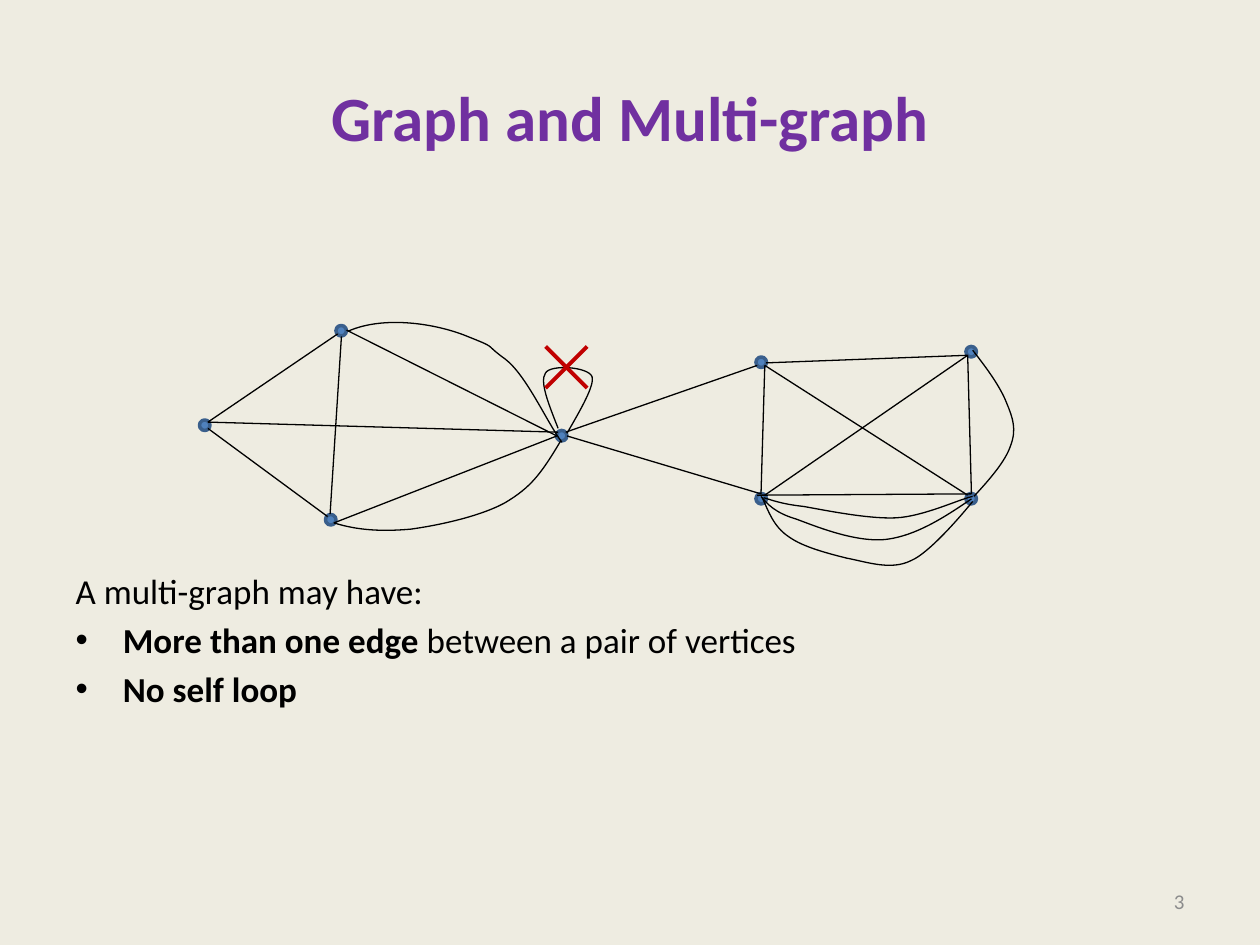
from dataclasses import dataclass
from typing import NamedTuple

import pptx
import pptx.dml.color
import pptx.enum.shapes
import pptx.enum.text
import pptx.util
from pptx.oxml import parse_xml
from pptx.oxml.ns import nsdecls, qn
from pptx.util import Inches

ALIGN = pptx.enum.text.PP_ALIGN
ANCHOR = pptx.enum.text.MSO_ANCHOR
GRID = Inches(1) // 12


@dataclass(frozen=True)
class Theme:
    font: str = "Calibri"
    background: str = "EEECE1"
    title: str = "7030A0"
    text: str = "000000"
    page_number: str = "8C8C8C"
    vertex: str = "4F81BD"
    vertex_line: str = "3A5F8C"
    edge: str = "000000"
    cross: str = "C00000"
    title_size: float = 36
    body_size: float = 20
    page_number_size: float = 12
    vertex_width: float = 2
    edge_width: float = 0.75
    cross_width: float = 2.25


class Point(NamedTuple):
    x: float
    y: float


class Edge(NamedTuple):
    start: Point
    end: Point


class Curve(NamedTuple):
    """A start point, then two handles and an end point for each Bézier piece."""
    start: Point
    pieces: list[tuple[float, float, float, float, float, float]]


THEME = Theme()

# Column and row of each vertex, in grid steps of a twelfth of an inch
VERTICES = [(32, 31), (31, 49), (53, 41), (72, 34), (19, 40), (72, 47), (92, 47), (92, 33)]

LEFT = Point(1.65, 3.35)
CENTRE = Point(4.42, 3.46)
TOP_INNER, TOP_OUTER = Point(6.07, 2.9), Point(7.68, 2.82)
BOTTOM_INNER, BOTTOM_OUTER = Point(6.04, 3.92), Point(7.71, 3.92)

EDGES = [
    Edge(LEFT, Point(2.68, 2.65)),
    Edge(Point(1.65, 3.4), Point(2.6, 4.1)),
    Edge(Point(2.65, 4.15), CENTRE),
    Edge(CENTRE, Point(2.75, 2.62)),
    Edge(Point(2.71, 2.67), Point(2.62, 4.08)),
    Edge(LEFT, Point(4.43, 3.43)),
    Edge(Point(6.08, 2.88), TOP_OUTER),
    Edge(Point(6.01, 3.93), BOTTOM_OUTER),
    Edge(TOP_INNER, BOTTOM_INNER),
    Edge(TOP_OUTER, BOTTOM_OUTER),
    Edge(TOP_INNER, Point(7.68, 3.93)),
    Edge(TOP_OUTER, Point(6.07, 3.93)),
    Edge(Point(6.01, 2.9), Point(4.49, 3.43)),
    Edge(BOTTOM_INNER, Point(4.5, 3.46)),
]

CURVES = [
    Curve(Point(2.65, 4.15), [
        (2.84, 4.21, 3.03, 4.22, 3.26, 4.2),
        (3.48, 4.17, 3.81, 4.1, 4.01, 3.99),
        (4.21, 3.87, 4.29, 3.77, 4.45, 3.5)]),
    Curve(Point(4.46, 3.51), [
        (4.34, 3.35, 4.18, 2.98, 4.01, 2.85),
        (3.83, 2.72, 3.96, 2.77, 3.71, 2.67),
        (3.47, 2.57, 3.05, 2.5, 2.76, 2.63)]),
    Curve(Point(4.43, 3.4), [
        (4.36, 3.22, 4.28, 3.03, 4.33, 2.96),
        (4.37, 2.89, 4.67, 2.91, 4.7, 2.99),
        (4.72, 3.06, 4.61, 3.25, 4.5, 3.44)]),
    Curve(Point(6.06, 3.95), [
        (6.13, 3.97, 6.2, 4, 6.38, 4.02),
        (6.55, 4.05, 6.89, 4.12, 7.11, 4.11),
        (7.33, 4.1, 7.62, 3.96, 7.72, 3.94)]),
    Curve(Point(6.04, 3.94), [
        (6.09, 4, 6.15, 4.07, 6.32, 4.12),
        (6.48, 4.18, 6.8, 4.31, 7.04, 4.28),
        (7.27, 4.25, 7.49, 4.11, 7.71, 3.96)]),
    Curve(Point(6.05, 3.95), [
        (6.1, 4.06, 6.14, 4.18, 6.26, 4.26),
        (6.37, 4.34, 6.56, 4.39, 6.72, 4.43),
        (6.88, 4.46, 7.07, 4.53, 7.23, 4.45),
        (7.4, 4.38, 7.72, 3.98, 7.72, 3.98)]),
]

OUTER_CURVE = Curve(Point(7.72, 2.78), [
    (7.83, 2.92, 7.94, 3.07, 7.99, 3.2),
    (8.04, 3.32, 8.07, 3.41, 8.02, 3.54),
    (7.98, 3.66, 7.86, 3.8, 7.73, 3.94)])

CROSS = [
    Edge(Point(4.33, 2.75), Point(4.66, 3.08)),
    Edge(Point(4.33, 3.08), Point(4.66, 2.75)),
]


def color(value: str) -> pptx.dml.color.RGBColor:
    return pptx.dml.color.RGBColor.from_string(value)


def place(shape, left: float, top: float, width: float, height: float) -> None:
    shape.left, shape.top = Inches(left), Inches(top)
    shape.width, shape.height = Inches(width), Inches(height)


def write(paragraph, text: str, *, size: float, fill: str, bold: bool = False, align=None) -> None:
    """Add one formatted run to the paragraph."""
    if align is not None:
        paragraph.alignment = align
    run = paragraph.add_run()
    run.text = text
    run.font.name, run.font.size, run.font.bold = THEME.font, pptx.util.Pt(size), bold
    run.font.color.rgb = color(fill)


def set_line(shape, fill: str, width: float) -> None:
    shape.line.color.rgb = color(fill)
    shape.line.width = pptx.util.Pt(width)


def add_vertex(slide, column: int, row: int) -> None:
    shape = slide.shapes.add_shape(
        pptx.enum.shapes.MSO_SHAPE.OVAL, column * GRID, row * GRID, GRID, GRID)
    shape.shadow.inherit = False
    shape.fill.solid()
    shape.fill.fore_color.rgb = color(THEME.vertex)
    set_line(shape, THEME.vertex_line, THEME.vertex_width)


def add_edge(slide, edge: Edge, fill: str, width: float) -> None:
    connector = slide.shapes.add_connector(
        pptx.enum.shapes.MSO_CONNECTOR.STRAIGHT,
        *(Inches(value) for point in edge for value in point))
    set_line(connector, fill, width)
    connector._element.spPr.append(parse_xml(f"<a:effectLst {nsdecls('a')}/>"))


def add_curve(slide, curve: Curve) -> None:
    """Build the outline through the end points, then bend each segment with its handles."""
    builder = slide.shapes.build_freeform(Inches(curve.start.x), Inches(curve.start.y))
    builder.add_line_segments(
        [(Inches(piece[4]), Inches(piece[5])) for piece in curve.pieces], close=False)
    shape = builder.convert_to_shape()
    segments = list(shape._element.iter(qn("a:lnTo")))
    for segment, piece in zip(segments, curve.pieces):
        points = "".join(
            f'<a:pt x="{Inches(x) - shape.left}" y="{Inches(y) - shape.top}"/>'
            for x, y in zip(piece[::2], piece[1::2]))
        bend = parse_xml(f"<a:cubicBezTo {nsdecls('a')}>{points}</a:cubicBezTo>")
        segment.getparent().replace(segment, bend)
    shape.shadow.inherit = False
    shape.fill.background()
    set_line(shape, THEME.edge, THEME.edge_width)


def fill_body(body) -> None:
    place(body, 0.5, 1.75, 9, 4.95)
    lines = [
        (False, [("A multi-graph may have:", False)]),
        (True, [("More than one edge ", True), ("between a pair of vertices", False)]),
        (True, [("No self loop", True)]),
    ]
    frame = body.text_frame
    frame.margin_top = Inches(2.77)
    for index, (bulleted, runs) in enumerate(lines):
        paragraph = frame.add_paragraph() if index else frame.paragraphs[0]
        paragraph.space_before = pptx.util.Pt(4 if index else 0)
        indent = pptx.util.Pt(27 if bulleted else 0)
        properties = paragraph._p.get_or_add_pPr()
        properties.set("marL", str(indent))
        properties.set("indent", str(-indent))
        bullet = 'buChar char="•"' if bulleted else "buNone"
        properties.append(parse_xml(f"<a:{bullet} {nsdecls('a')}/>"))
        for text, bold in runs:
            write(paragraph, text, size=THEME.body_size, fill=THEME.text, bold=bold)


def main() -> None:
    presentation = pptx.Presentation()
    presentation.slide_width, presentation.slide_height = Inches(10), Inches(7.5)
    slide = presentation.slides.add_slide(presentation.slide_layouts[1])
    slide.background.fill.solid()
    slide.background.fill.fore_color.rgb = color(THEME.background)

    title = slide.shapes.title
    place(title, 0.5, 0.3, 9, 1.25)
    title.text_frame.vertical_anchor = ANCHOR.MIDDLE
    write(title.text_frame.paragraphs[0], "Graph and Multi-graph", size=THEME.title_size,
          fill=THEME.title, bold=True, align=ALIGN.CENTER)
    fill_body(slide.placeholders[1])

    page_number = slide.shapes.add_textbox(Inches(7.17), Inches(6.95), Inches(2.33), Inches(0.4))
    page_number.text_frame.word_wrap = True
    page_number.text_frame.vertical_anchor = ANCHOR.MIDDLE
    write(page_number.text_frame.paragraphs[0], "3", size=THEME.page_number_size,
          fill=THEME.page_number, align=ALIGN.RIGHT)

    for column, row in VERTICES:
        add_vertex(slide, column, row)
    for edge in EDGES:
        add_edge(slide, edge, THEME.edge, THEME.edge_width)
    for curve in CURVES:
        add_curve(slide, curve)
    for stroke in CROSS:
        add_edge(slide, stroke, THEME.cross, THEME.cross_width)
    add_curve(slide, OUTER_CURVE)
    presentation.save("out.pptx")


if __name__ == "__main__":
    main()
